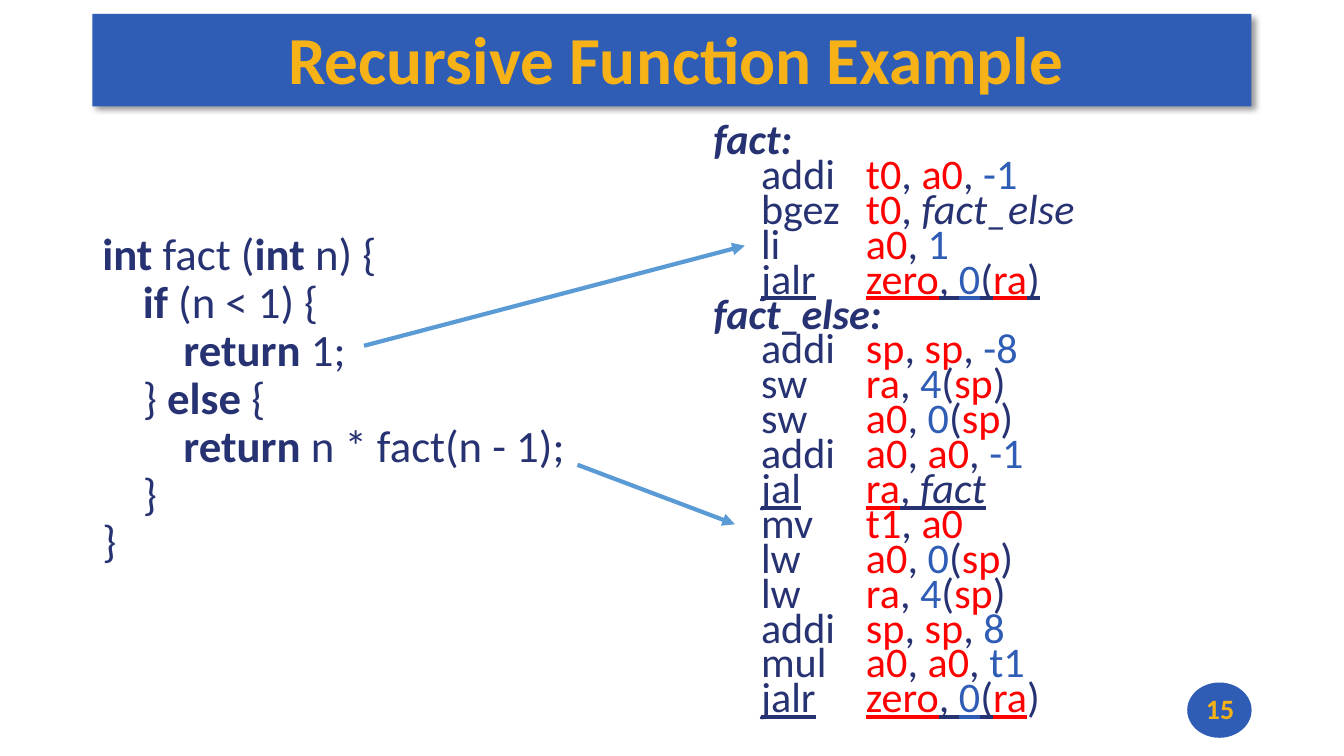
"""Build a slide that pairs a recursive C function with its assembly code."""
from itertools import groupby

from lxml.etree import SubElement
from pptx import Presentation
from pptx.dml.color import RGBColor
from pptx.enum.shapes import MSO_CONNECTOR, MSO_SHAPE
from pptx.enum.text import MSO_ANCHOR, PP_ALIGN
from pptx.oxml import parse_xml
from pptx.oxml.ns import nsdecls, qn
from pptx.util import Pt

BLUE, GOLD, NAVY, RED, ARROW = "2F5CB5", "F7B217", "273272", "FF0000", "5B9BD5"
KEYWORDS = {"int", "if", "else", "return"}
REGISTERS = {"zero", "ra", "sp", "a0", "t0", "t1"}
LABELS = {"fact", "fact_else"}


def rgb(value):
    return RGBColor.from_string(value)


def add_run(paragraph, text, color, **styles):
    run = paragraph.add_run()
    run.text = text
    run.font.color.rgb = rgb(color)
    for name, value in {"name": "Calibri", **styles}.items():
        setattr(run.font, name, value)


deck = Presentation()
deck.slide_width, deck.slide_height = Pt(960), Pt(540)
slide = deck.slides.add_slide(deck.slide_layouts[6])
shapes = slide.shapes

banner = shapes.add_shape(MSO_SHAPE.RECTANGLE, Pt(66), Pt(10), Pt(828), Pt(66))
badge = shapes.add_shape(MSO_SHAPE.OVAL, Pt(848), Pt(487.5), Pt(46), Pt(39.5))
for panel in (banner, badge):
    panel.shadow.inherit = False
    panel.fill.solid()
    panel.fill.fore_color.rgb = rgb(BLUE)
    panel.line.fill.background()
effects = banner._element.spPr.find(qn("a:effectLst"))
effects.append(parse_xml(
    f'<a:outerShdw {nsdecls("a")} blurRad="50800" dist="38100" dir="2700000" algn="tl" rotWithShape="0">'
    '<a:srgbClr val="000000"><a:alpha val="40000"/></a:srgbClr></a:outerShdw>'))

c_code = shapes.add_textbox(Pt(66), Pt(162.5), Pt(356.5), Pt(258)).text_frame
page_number = shapes.add_textbox(Pt(848), Pt(487.5), Pt(47), Pt(37.5)).text_frame
title = shapes.add_textbox(Pt(66), Pt(8.5), Pt(828), Pt(66)).text_frame
assembly = shapes.add_textbox(Pt(502.5), Pt(87), Pt(378), Pt(453)).text_frame
for frame in (c_code, page_number, title, assembly):
    frame.word_wrap = True

title_margins = {"margin_left": Pt(6), "margin_right": Pt(0), "margin_top": Pt(2), "margin_bottom": Pt(2)}
for name, value in title_margins.items():
    setattr(title, name, value)
for frame, text, size in ((title, "Recursive Function Example", 48), (page_number, "15", 20)):
    frame.vertical_anchor = MSO_ANCHOR.MIDDLE
    frame.paragraphs[0].alignment = PP_ALIGN.CENTER
    add_run(frame.paragraphs[0], text, GOLD, size=Pt(size), bold=True)

c_lines = [
    "int fact (int n) {",
    "    if (n < 1) {",
    "        return 1;",
    "    } else {",
    "        return n * fact(n - 1);",
    "    }",
    "}",
]
for index, code in enumerate(c_lines):
    paragraph = c_code.add_paragraph() if index else c_code.paragraphs[0]
    paragraph.line_spacing = 0.89
    for _, letters in groupby(code, str.isalpha):
        word = "".join(letters)
        add_run(paragraph, word, NAVY, size=Pt(32), bold=word in KEYWORDS)

# Each instruction: mnemonic, underlined operands, plain operands.
instructions = [
    ("fact:", "", ""),
    ("addi", "", "t0, a0, -1"),
    ("bgez", "", "t0, fact_else"),
    ("li", "", "a0, 1"),
    ("jalr", "zero, 0(ra)", ""),
    ("fact_else:", "", ""),
    ("addi", "", "sp, sp, -8"),
    ("sw", "", "ra, 4(sp)"),
    ("sw", "", "a0, 0(sp)"),
    ("addi", "", "a0, a0, -1"),
    ("jal", "ra, fact", ""),
    ("mv", "", "t1, a0"),
    ("lw", "", "a0, 0(sp)"),
    ("lw", "", "ra, 4(sp)"),
    ("addi", "", "sp, sp, 8"),
    ("mul", "", "a0, a0, t1"),
    ("jalr", "zero, 0(ra", ")"),
]
code_size = Pt(30.1)
for index, (mnemonic, underlined, plain) in enumerate(instructions):
    paragraph = assembly.add_paragraph() if index else assembly.paragraphs[0]
    tabs = SubElement(paragraph._p.get_or_add_pPr(), qn("a:tabLst"))
    SubElement(tabs, qn("a:tab"), pos=str(Pt(109)), algn="l")
    paragraph.line_spacing = 0.69
    if mnemonic.endswith(":"):
        add_run(paragraph, mnemonic, NAVY, size=code_size, bold=True, italic=True)
        continue
    add_run(paragraph, "     ", NAVY, size=code_size)
    add_run(paragraph, mnemonic + "\t", NAVY, size=code_size, underline=bool(underlined))
    for operands, underline in ((underlined, True), (plain, False)):
        for _, letters in groupby(operands, lambda letter: letter.isalnum() or letter in "-_"):
            token = "".join(letters)
            if token.lstrip("-").isdigit() or (mnemonic, token) == ("mul", "t1"):
                color = BLUE
            else:
                color = RED if token in REGISTERS else NAVY
            add_run(paragraph, token, color, size=code_size, italic=token in LABELS, underline=underline)

for start_x, start_y, end_x, end_y in ((260, 247, 532, 175.5), (412.5, 332, 525, 374.5)):
    arrow = shapes.add_connector(MSO_CONNECTOR.STRAIGHT, Pt(start_x), Pt(start_y), Pt(end_x), Pt(end_y))
    arrow.line.color.rgb = rgb(ARROW)
    arrow.line.width = Pt(3)
    SubElement(arrow.line._get_or_add_ln(), qn("a:tailEnd"), type="triangle")
    SubElement(arrow._element.spPr, qn("a:effectLst"))

deck.save("out.pptx")
